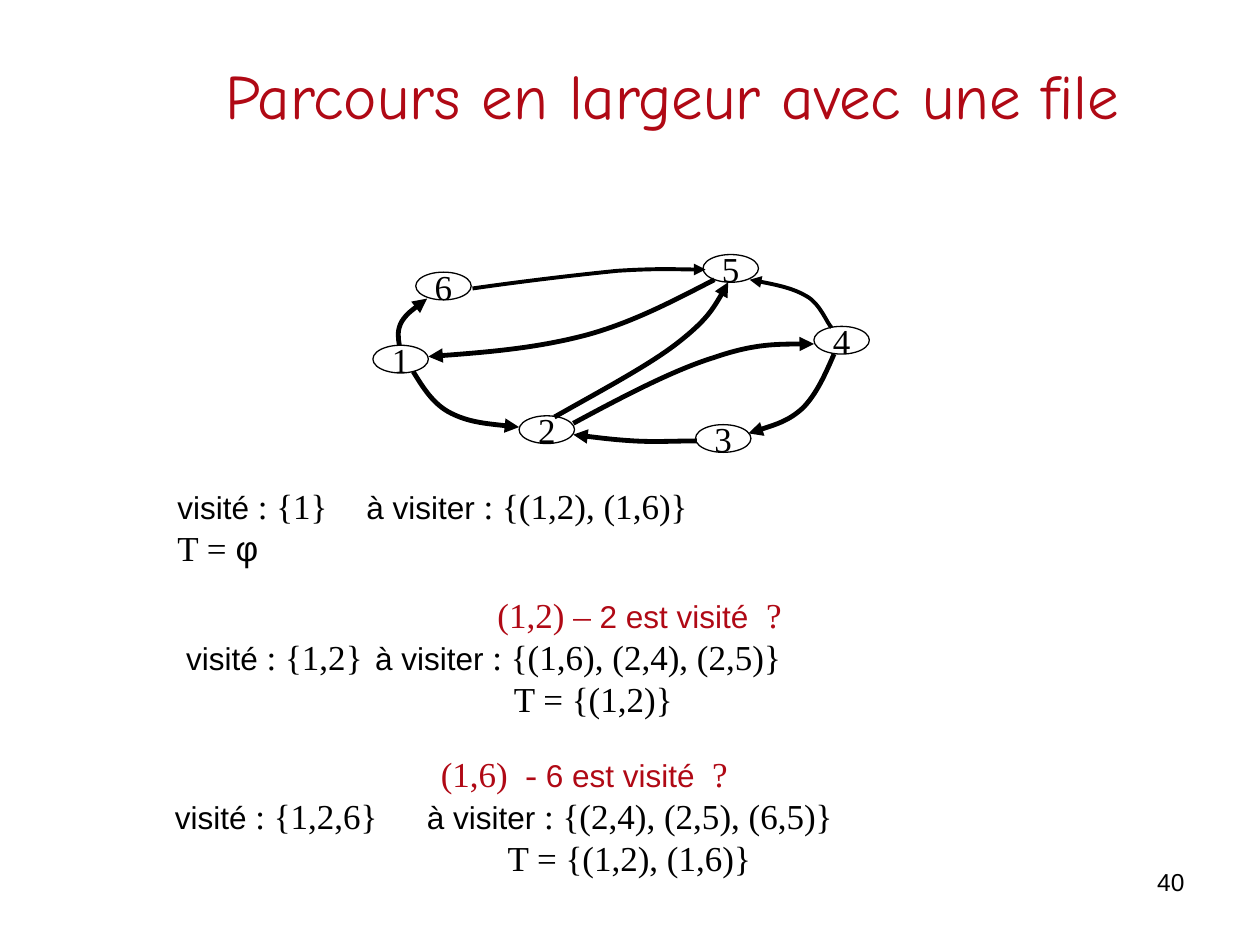
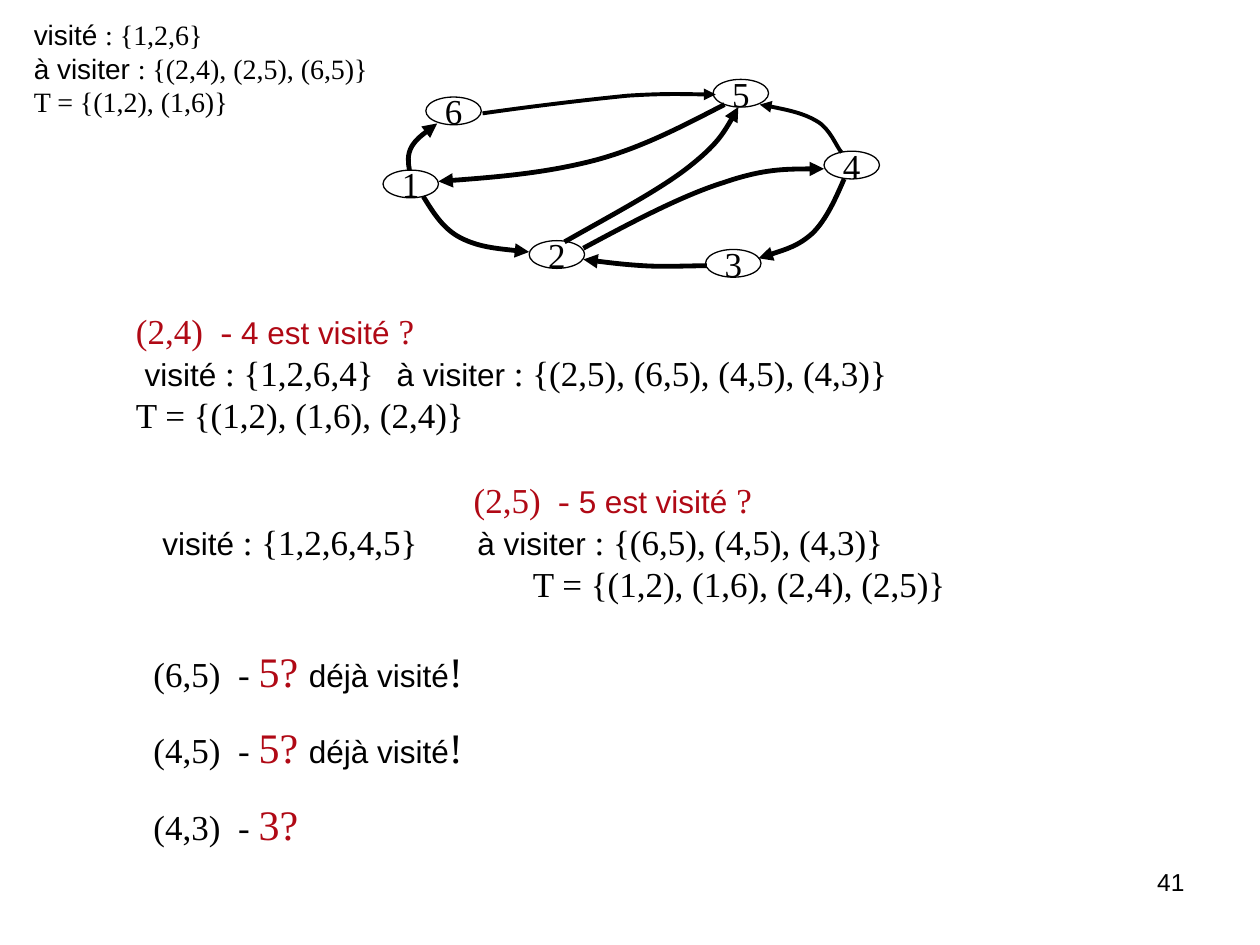
"""Breadth-first search with a queue: a directed graph and its trace."""
from dataclasses import dataclass

from lxml import etree
from pptx import Presentation
from pptx.dml.color import RGBColor
from pptx.enum.shapes import MSO_SHAPE
from pptx.enum.text import MSO_ANCHOR, MSO_AUTO_SIZE, PP_ALIGN
from pptx.oxml.ns import qn
from pptx.util import Emu, Inches, Pt

OVAL = MSO_SHAPE.OVAL
MIDDLE, TOP = MSO_ANCHOR.MIDDLE, MSO_ANCHOR.TOP
LEFT, CENTER, RIGHT = PP_ALIGN.LEFT, PP_ALIGN.CENTER, PP_ALIGN.RIGHT
NO_FIT = MSO_AUTO_SIZE.NONE

BLACK = RGBColor(0x00, 0x00, 0x00)
WHITE = RGBColor(0xFF, 0xFF, 0xFF)
RED = RGBColor(0xB0, 0x09, 0x15)
SANS, SERIF, TITLE_FONT = "Arial", "Times New Roman", "Comic Neue"

SLIDE_WIDTH, SLIDE_HEIGHT = 10, 7.5
TITLE_LAYOUT, BLANK_LAYOUT = 5, 6
INSET = 0.1
LINE_RATIO = 1.2
LEAD = 0.07

NODE_SIZE = (0.44, 0.22)
NODES = {1: (2.96, 2.74), 2: (4.12, 3.3), 3: (5.52, 3.37),
         4: (6.46, 2.59), 5: (5.58, 2.02), 6: (3.3, 2.16)}
THICK, THIN = 2.75, 2.24
# Each edge: line width, then start point and two Bezier pieces.
EDGES = {
    (1, 2): (THICK, [(3.28, 2.95), (3.36, 3.08), (3.44, 3.21), (3.58, 3.28),
                     (3.72, 3.35), (3.92, 3.37), (4.12, 3.39)]),
    (1, 6): (THICK, [(3.17, 2.74), (3.16, 2.68), (3.15, 2.62), (3.19, 2.55),
                     (3.23, 2.49), (3.31, 2.43), (3.39, 2.37)]),
    (2, 4): (THICK, [(4.55, 3.36), (4.94, 3.15), (5.34, 2.94), (5.66, 2.84),
                     (5.98, 2.73), (6.22, 2.73), (6.46, 2.73)]),
    (2, 5): (THICK, [(4.4, 3.31), (4.77, 3.1), (5.15, 2.9), (5.38, 2.72),
                     (5.61, 2.54), (5.7, 2.39), (5.78, 2.24)]),
    (3, 2): (THICK, [(5.53, 3.5), (5.37, 3.5), (5.2, 3.51), (5.03, 3.5),
                     (4.87, 3.49), (4.71, 3.47), (4.55, 3.45)]),
    (4, 3): (THICK, [(6.62, 2.81), (6.55, 2.97), (6.48, 3.13), (6.37, 3.24),
                     (6.26, 3.34), (6.1, 3.39), (5.94, 3.44)]),
    (4, 5): (THIN, [(6.6, 2.6), (6.56, 2.56), (6.51, 2.41), (6.4, 2.35),
                    (6.3, 2.29), (6.12, 2.25), (5.95, 2.22)]),
    (5, 1): (THICK, [(5.67, 2.22), (5.34, 2.39), (5.02, 2.56), (4.65, 2.66),
                     (4.27, 2.76), (3.83, 2.8), (3.4, 2.83)]),
    (6, 5): (THIN, [(3.75, 2.29), (4.17, 2.23), (4.6, 2.18), (4.9, 2.15),
                    (5.21, 2.13), (5.4, 2.14), (5.6, 2.14)]),
}


@dataclass
class Line:
    """One line of text: (text, font, size, colour) spans and its layout."""
    spans: list
    indent: float = 0
    tab: float = 0
    before: float = 0


def serif(text, color=BLACK, size=20):
    """Return a span in the serif face."""
    return text, SERIF, size, color


def sans(text, color=BLACK, size=18):
    """Return a span in the sans face."""
    return text, SANS, size, color


def question(edge, words, indent=0):
    """Return the red line that asks whether a node is visited."""
    return Line([serif(edge, RED), sans(words, RED), serif("?", RED)], indent)


def state(visited, queue, tab, indent=LEAD):
    """Return the line with the visited set and the queue, in two columns."""
    return Line([sans("visité "), serif(f": {{{visited}}}\t"),
                 sans("à visiter "), serif(f": {{{queue}}}")], indent, tab)


def tree(edges, indent=0):
    """Return the line with the edges of the tree."""
    return Line([serif(f"T = {{{edges}}}")], indent)


def apply(target, values):
    """Set every attribute in a dict of format values."""
    for name, value in values.items():
        setattr(target, name, value)


def add_spans(para, spans):
    """Write spans of text into a paragraph."""
    for text, font, size, color in spans:
        span = para.add_run()
        span.text = text
        apply(span.font, {"name": font, "size": Pt(size), "bold": False})
        span.font.color.rgb = color


def add_text(page, left, top, width, height, lines, align=LEFT):
    """Add a text box with one paragraph for each line."""
    box = page.shapes.add_textbox(*map(Inches, (left, top, width, height)))
    frame = box.text_frame
    apply(frame, {"word_wrap": True, "auto_size": NO_FIT, "vertical_anchor": TOP})
    for number, line in enumerate(lines):
        para = frame.add_paragraph() if number else frame.paragraphs[0]
        biggest = max(size for _, _, size, _ in line.spans)
        apply(para, {"alignment": align, "space_before": Pt(line.before),
                     "line_spacing": Pt(biggest * LINE_RATIO)})
        props = para._p.get_or_add_pPr()
        props.set("marL", str(Inches(line.indent)))
        props.set("indent", "0")
        if line.tab:
            stops = etree.SubElement(props, qn("a:tabLst"))
            etree.SubElement(stops, qn("a:tab"), pos=str(Inches(line.tab)), algn="l")
        add_spans(para, line.spans)


def add_title(page, text):
    """Fill and place the title placeholder."""
    title = page.shapes.title
    apply(title, {"left": Inches(0.67), "top": Inches(0.25),
                  "width": Inches(9.33), "height": Inches(1)})
    frame = title.text_frame
    apply(frame, {"vertical_anchor": MIDDLE, "auto_size": NO_FIT})
    frame.paragraphs[0].alignment = CENTER
    add_spans(frame.paragraphs[0], [(text, TITLE_FONT, 36, RED)])


def add_node(page, label, left, top):
    """Add a numbered graph node."""
    node = page.shapes.add_shape(OVAL, *map(Inches, (left, top, *NODE_SIZE)))
    node.shadow.inherit = False
    node.fill.solid()
    node.fill.fore_color.rgb = WHITE
    node.line.color.rgb = BLACK
    node.line.width = Pt(0.74)
    apply(node.text_frame, {"word_wrap": False, "vertical_anchor": MIDDLE})
    para = node.text_frame.paragraphs[0]
    para.alignment = CENTER
    add_spans(para, [serif(str(label))])


def add_edge(page, points, width):
    """Add a curved arrow through Bezier points, its head at the end."""
    points = [(Inches(x), Inches(y)) for x, y in points]
    builder = page.shapes.build_freeform(*points[0])
    builder.add_line_segments(points[1:], close=False)
    edge = builder.convert_to_shape(Emu(0), Emu(0))
    segments = list(edge._element.iter(qn("a:lnTo")))
    outline = segments[0].getparent()
    for first in range(0, len(segments), 3):
        curve = etree.SubElement(outline, qn("a:cubicBezTo"))
        for segment in segments[first:first + 3]:
            curve.append(segment[0])
            outline.remove(segment)
    edge.shadow.inherit = False
    edge.fill.background()
    edge.line.color.rgb = BLACK
    edge.line.width = Pt(width)
    etree.SubElement(edge.line._get_or_add_ln(), qn("a:tailEnd"), type="triangle")


def add_graph(page, dx=0, dy=0):
    """Draw the whole graph, moved by dx and dy."""
    for label, (left, top) in NODES.items():
        add_node(page, label, left + dx, top + dy)
    for width, points in EDGES.values():
        add_edge(page, [(x + dx, y + dy) for x, y in points], width)


def add_page(deck, layout, number):
    """Add a slide with its page number."""
    page = deck.slides.add_slide(deck.slide_layouts[layout])
    add_text(page, 7.17, 6.83, 2.33, 0.52, [Line([sans(str(number), size=14)])], RIGHT)
    return page


def build_start(deck):
    """Build the slide with the first steps of the search."""
    page = add_page(deck, TITLE_LAYOUT, 40)
    add_title(page, "Parcours en largeur avec une file")
    add_graph(page)
    add_text(page, 1.31, 3.8, 7.58, 0.77, [
        state("1", "(1,2), (1,6)", 4.07, indent=0),
        Line([serif("T = "), sans("φ", size=20)])])
    add_text(page, 1.31, 4.66, 7.53, 1.1, [
        question("(1,2) –", " 2 est visité  ", 2.54),
        state("1,2", "(1,6), (2,4), (2,5)", 4.04),
        tree("(1,2)", 2.67)])
    add_text(page, 1.22, 5.92, 7.56, 1.1, [
        question("(1,6)  - ", "6 est visité  ", 2.18),
        state("1,2,6", "(2,4), (2,5), (6,5)", 4.07),
        tree("(1,2), (1,6)", 2.71)])


def build_end(deck):
    """Build the slide with the last steps of the search."""
    page = add_page(deck, BLANK_LAYOUT, 41)
    add_graph(page, 0.08, -1.39)
    add_text(page, 0.98, 2.41, SLIDE_WIDTH - 0.98, 1.1, [
        question("(2,4)  - ", "4 est visité "),
        state("1,2,6,4", "(2,5), (6,5), (4,5), (4,3)", 4.07),
        tree("(1,2), (1,6), (2,4)")])
    seen = [sans("déjà visité"), serif("!", size=24)]
    checks = [("(6,5)", "5? ", seen), ("(4,5)", "5? ", seen), ("(4,3)", "3?", [])]
    add_text(page, 1.12, 5.07, 5.84, 1.72, [
        Line([serif(f"{edge}  - "), serif(node, RED, 24), *answer],
             before=15 if number else 0)
        for number, (edge, node, answer) in enumerate(checks)])
    add_text(page, 1.12, 3.75, 7.49, 1.1, [
        question("(2,5)  - ", "5 est visité ", 2.54),
        state("1,2,6,4,5", "(6,5), (4,5), (4,3)", 4.07),
        tree("(1,2), (1,6), (2,4), (2,5)", 3.01)])
    add_text(page, 0.17, 0.09, 5.24, 0.9, [
        Line([sans("visité ", size=16), serif(": {1,2,6}", size=16)]),
        Line([sans("à visiter ", size=16),
              serif(": {(2,4), (2,5), (6,5)}", size=16)]),
        Line([serif("T = {(1,2), (1,6)}", size=16)])])


def main():
    """Build and save the deck."""
    deck = Presentation()
    deck.slide_width, deck.slide_height = Inches(SLIDE_WIDTH), Inches(SLIDE_HEIGHT)
    build_start(deck)
    build_end(deck)
    deck.save("out.pptx")


main()
